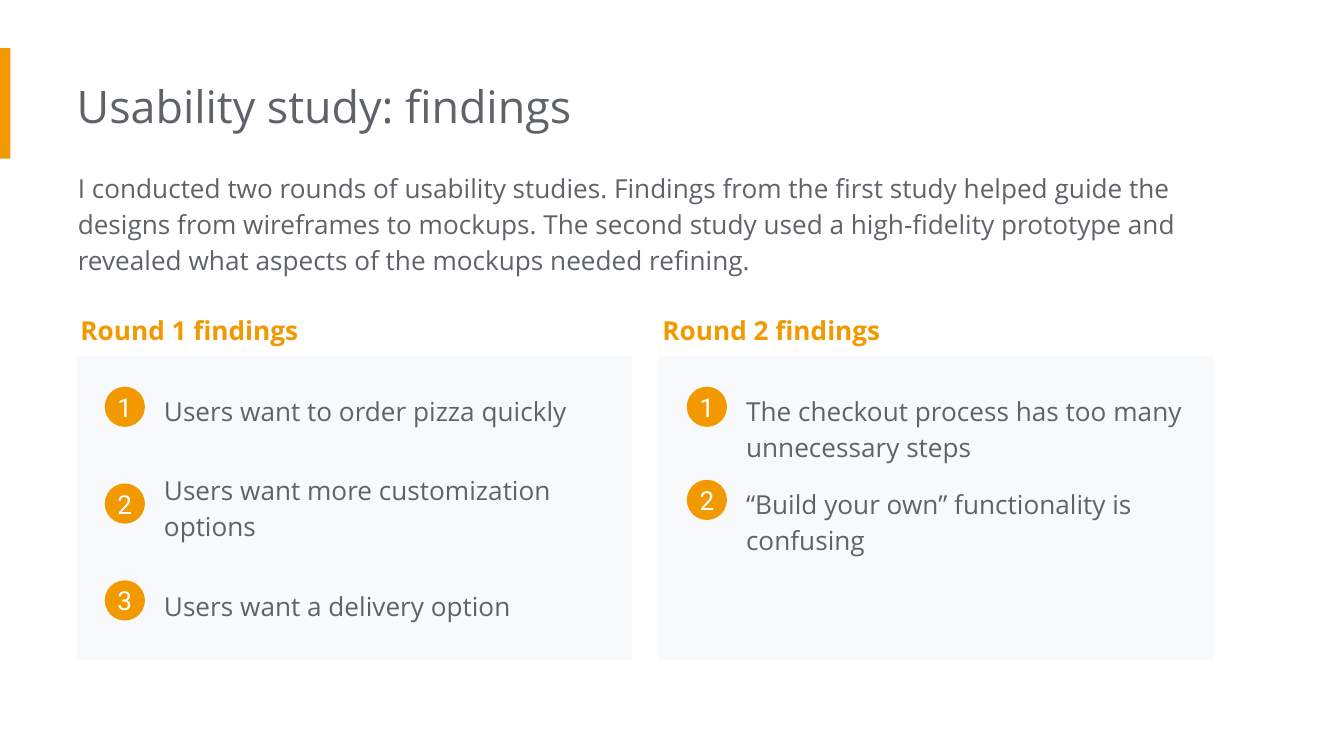
from pptx import Presentation
from pptx import util as u
from pptx.dml import color
from pptx.enum import shapes, text
from pptx.oxml import ns, xmlchemy

ORANGE, GREY, PANEL, WHITE = "F29900", "5F6368", "F8F9FA", "FFFFFF"
INSET = 0.25
BADGE = 0.76
ROUNDS = [
    ("Round 1 findings", [
        ("Users want to order pizza quickly", 0.58, 0.41),
        ("Users want more customization options", 2.41, 1.9),
        ("Users want a delivery option", 4.24, 4.09),
    ]),
    ("Round 2 findings", [
        ("The checkout process has too many unnecessary steps", 0.58, 0.41),
        ("“Build your own” functionality is confusing", 2.34, 2.16),
    ]),
]


def rgb(value):
    return color.RGBColor.from_string(value)


def place(shape, left, top, width, height):
    shape.left, shape.top = u.Cm(left), u.Cm(top)
    shape.width, shape.height = u.Cm(width), u.Cm(height)


def write(shape, words, size=14, colour=GREY, font="Open Sans", bold=False,
          insets=(INSET, INSET), spacing=1.15, align=text.PP_ALIGN.LEFT,
          anchor=text.MSO_ANCHOR.TOP):
    frame = shape.text_frame
    frame.text = words
    frame.word_wrap = True
    frame.auto_size = text.MSO_AUTO_SIZE.NONE
    frame.vertical_anchor = anchor
    frame.margin_left = u.Cm(insets[0])
    frame.margin_right = frame.margin_top = frame.margin_bottom = u.Cm(insets[1])
    paragraph = frame.paragraphs[0]
    paragraph.alignment = align
    paragraph.line_spacing = spacing
    paragraph.space_before = u.Pt(0)
    run = paragraph.runs[0]
    run.font.name, run.font.size, run.font.bold = font, u.Pt(size), bold
    run.font.color.rgb = rgb(colour)


def add_block(slide, kind, box, colour):
    shape = slide.shapes.add_shape(kind, *map(u.Cm, box))
    shape.shadow.inherit = False
    shape.fill.solid()
    shape.fill.fore_color.rgb = rgb(colour)
    shape.line.fill.background()
    return shape


def add_label(slide, box, words, **style):
    write(slide.shapes.add_textbox(*map(u.Cm, box)), words, **style)


def fill_header(slide, left, top, width):
    add_block(slide, shapes.MSO_SHAPE.RECTANGLE, (0, 0.91, 0.2, 2.09), ORANGE)
    title, body = slide.placeholders
    place(title, left, top, 17.09, 1.55)
    write(title, "Usability study: findings", size=24, insets=(0, INSET), spacing=1.0)
    place(body, left + 0.02, top + 1.68, width, 2.49)
    body.text_frame.text = ""
    write(body, "I conducted two rounds of usability studies. Findings from the first "
                "study helped guide the designs from wireframes to mockups. The second "
                "study used a high-fidelity prototype and revealed what aspects of the "
                "mockups needed refining.", insets=(0, INSET))
    properties = body.text_frame.paragraphs[0]._p.get_or_add_pPr()
    properties.set("marL", "0")
    properties.set("indent", "0")
    properties.append(xmlchemy.OxmlElement("a:buNone"))


def add_round(slide, box, heading, findings):
    left, top, width, height = box
    add_block(slide, shapes.MSO_SHAPE.RECTANGLE, box, PANEL)
    add_label(slide, (left - 0.18, top - 1.12, 9.27, 1.12), heading,
              colour=ORANGE, bold=True)
    for number, (finding, badge_top, text_top) in enumerate(findings, 1):
        add_label(slide, (left + 1.4, top + text_top, 9.27, 1.12), finding)
        badge = add_block(slide, shapes.MSO_SHAPE.OVAL,
                          (left + 0.53, top + badge_top, BADGE, BADGE), ORANGE)
        write(badge, str(number), colour=WHITE, font="Roboto", insets=(0, 0),
              spacing=1.0, align=text.PP_ALIGN.CENTER, anchor=text.MSO_ANCHOR.MIDDLE)


def main():
    presentation = Presentation()
    presentation.slide_width, presentation.slide_height = u.Cm(25.4), u.Cm(14.29)
    slide = presentation.slides.add_slide(presentation.slide_layouts[1])
    fill_header(slide, 1.45, 1.24, 21.87)
    for column, (heading, findings) in enumerate(ROUNDS):
        add_round(slide, (1.45 + 11 * column, 6.73, 10.49, 5.74), heading, findings)
    presentation.save("out.pptx")


if __name__ == "__main__":
    main()
